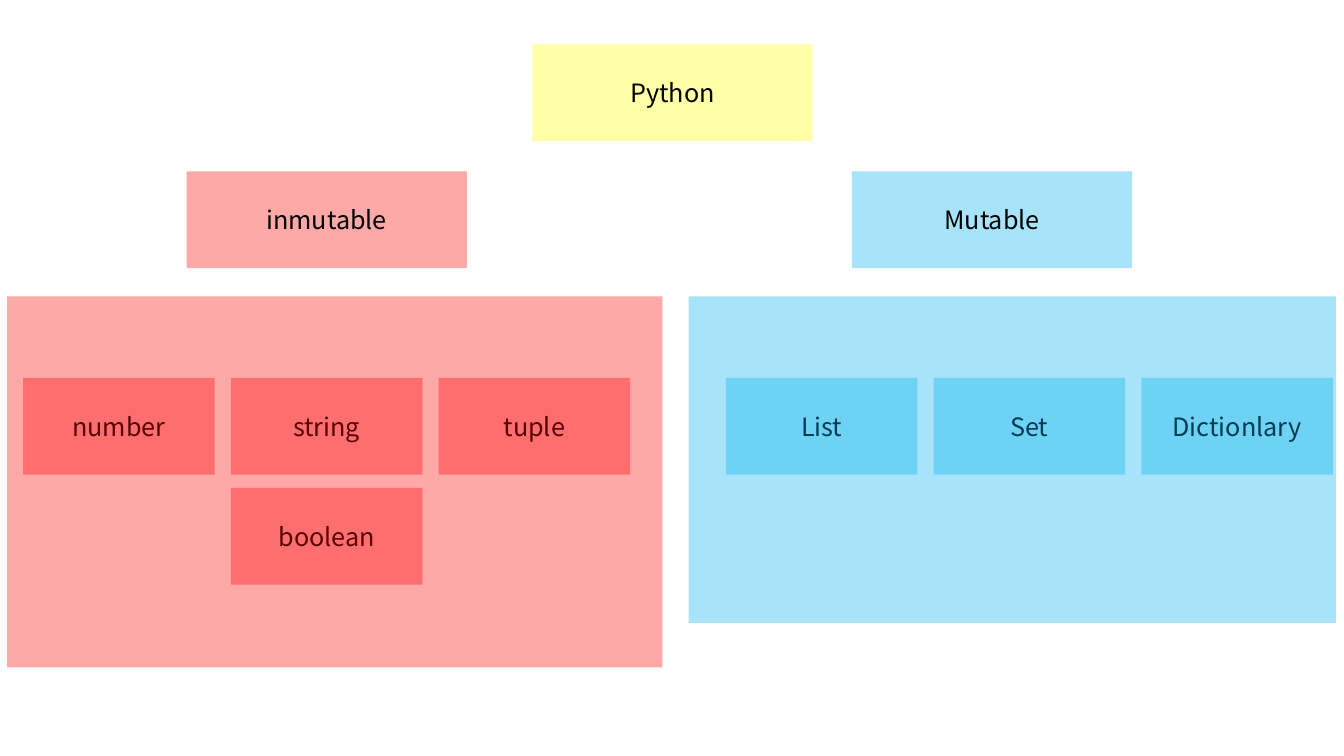
from lxml import etree
from pptx import Presentation
from pptx.dml.color import RGBColor
from pptx.enum.shapes import MSO_SHAPE as SHAPE
from pptx.enum.text import MSO_ANCHOR as ANCHOR, PP_ALIGN as ALIGN
from pptx.oxml.ns import qn
from pptx.util import Inches, Pt

COLORS = {"immutable": "FF0000", "mutable": "00B0F0", "root": "FFFF00", "text": "000000"}
FONT = "Noto Sans CJK KR"
OPACITY = 34000  # thousandths of a percent

prs = Presentation()
prs.slide_width, prs.slide_height = Inches(13.33), Inches(7.5)
s = prs.slides.add_slide(prs.slide_layouts[6])


def add_box(text, *, left, top, width, height, color, size=18):
    """Add a translucent rectangle, with centred text if there is any."""
    sp = s.shapes.add_shape(SHAPE.RECTANGLE, Inches(left), Inches(top),
                            Inches(width), Inches(height))
    sp.shadow.inherit = False
    sp.line.fill.background()
    sp.fill.solid()
    sp.fill.fore_color.rgb = RGBColor.from_string(COLORS[color])
    srgb = sp.fill._xPr.find(qn("a:solidFill")).find(qn("a:srgbClr"))
    etree.SubElement(srgb, qn("a:alpha")).set("val", str(OPACITY))
    if text:
        tf = sp.text_frame
        tf.vertical_anchor = ANCHOR.MIDDLE
        p = tf.paragraphs[0]
        p.alignment = ALIGN.CENTER
        r = p.add_run()
        r.text = text
        r.font.name, r.font.size = FONT, Pt(size)
        r.font.color.rgb = RGBColor.from_string(COLORS["text"])


BOX_H = 0.96
HEAD_W = 2.78
TYPE_W, TYPE_TOP = 1.9, 3.75
COL_STEP, ROW_STEP = 2.06, 1.09

# Group headings
for text, left, color in [("inmutable", 1.85, "immutable"), ("Mutable", 8.45, "mutable")]:
    add_box(text, left=left, top=1.7, width=HEAD_W, height=BOX_H, color=color)

# Data types: name, column, row within each group
groups = [
    ("immutable", 0.23, [("number", 0, 0), ("string", 1, 0), ("tuple", 2, 0), ("boolean", 1, 1)]),
    ("mutable", 7.2, [("List", 0, 0), ("Set", 1, 0), ("Dictionlary", 2, 0)]),
]
for color, group_left, types in groups:
    for text, col, row in types:
        add_box(text, left=group_left + col * COL_STEP, top=TYPE_TOP + row * ROW_STEP,
                width=TYPE_W, height=BOX_H, color=color)

# Translucent panels in front of the data types
for color, left, width, height in [("immutable", 0.07, 6.5, 3.68), ("mutable", 6.83, 6.42, 3.24)]:
    add_box("", left=left, top=2.94, width=width, height=height, color=color)

# Root
add_box("Python", left=5.28, top=0.44, width=HEAD_W, height=BOX_H, color="root")

prs.save("out.pptx")
